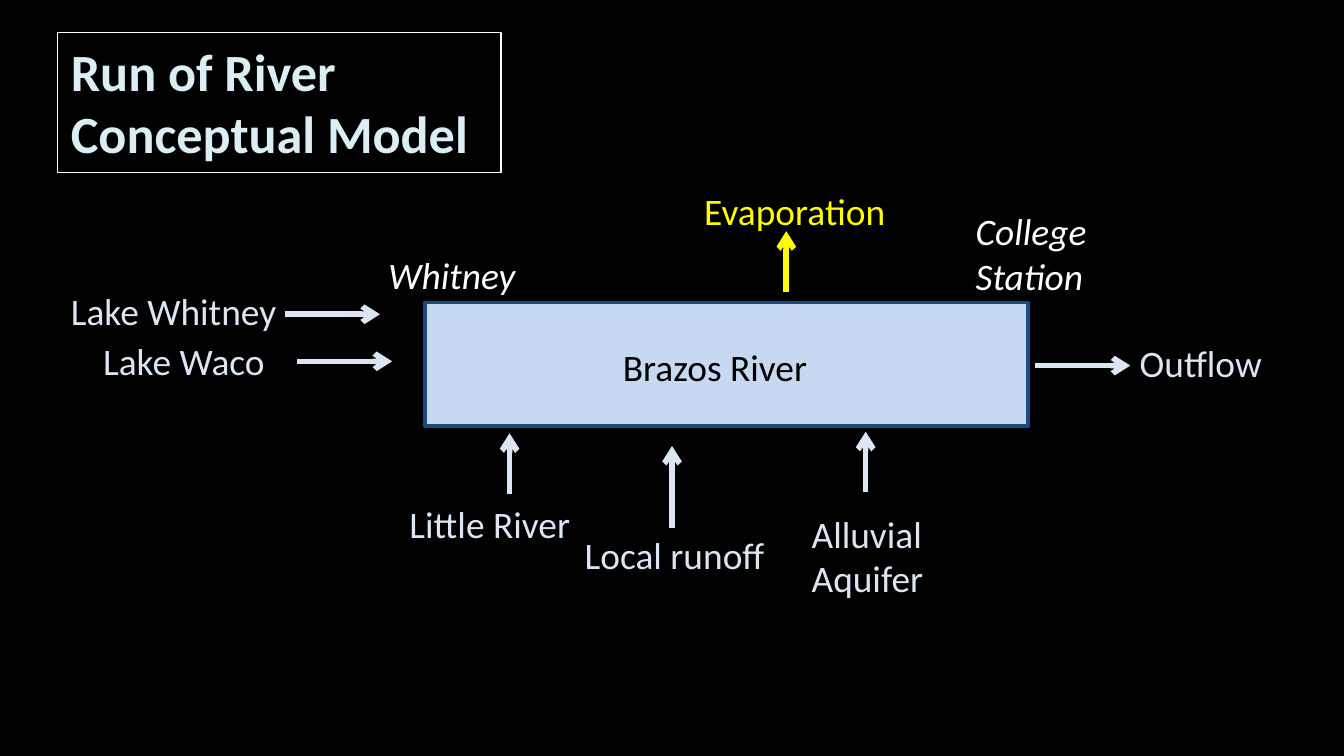
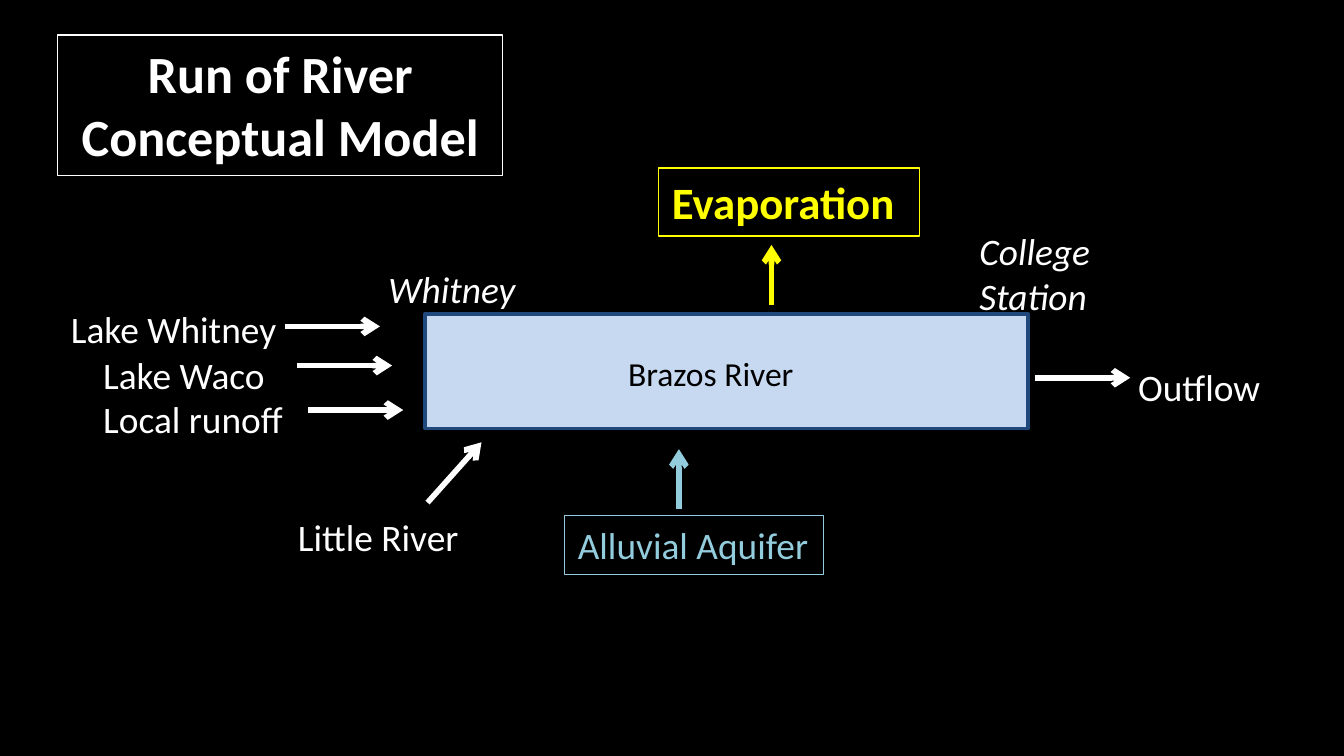
"""Build two slides showing the run-of-river model of the Brazos River."""
from pptx import Presentation
from pptx.dml.color import RGBColor
from pptx.enum.shapes import MSO_CONNECTOR, MSO_SHAPE
from pptx.enum.text import MSO_ANCHOR, PP_ALIGN
from pptx.oxml.ns import qn
from pptx.util import Cm, Pt
from lxml.etree import SubElement

FONT = "Calibri"
BLACK, WHITE, YELLOW = "000000", "FFFFFF", "FFFF00"
PALE, ICE, AQUA = "DCE6F2", "DBEEF4", "93CDDD"
RIVER_FILL, RIVER_LINE = "C6D9F1", "1F497D"
TITLE = "Run of River Conceptual Model"
TITLE_STYLE = dict(size=28, bold=True, lines=2, outline=WHITE)
RIVER_STYLE = dict(color=BLACK, fill=RIVER_FILL, align=PP_ALIGN.CENTER)
PLACE_STYLE = dict(color=WHITE, italic=True)
RIGHT, UP, LONG_UP, SLANTED = (1.8, 0), (0, -1.14), (0, -1.55), (1.02, -1.14)

SLIDES = [
    {
        "color": PALE,
        "river": (8.03, 5.72, 11.4, 2.34),
        "labels": [
            ("Brazos River", 10.85, 6.38, 5.33, RIVER_STYLE),
            ("Outflow", 21.29, 6.3, 3.1, {}),
            ("Evaporation", 13.06, 3.43, 4.93, dict(color=YELLOW)),
            ("Lake Whitney", 1.09, 5.33, 4.52, {}),
            ("Lake Waco", 1.7, 6.27, 4.52, {}),
            ("Whitney", 7.09, 4.65, 3.15, PLACE_STYLE),
            ("College\nStation", 18.19, 3.81, 3.58, dict(PLACE_STYLE, lines=2)),
            ("Alluvial Aquifer", 15.09, 9.53, 3.43, dict(lines=2)),
            ("Local runoff", 10.8, 9.93, 4.52, {}),
            ("Little River", 7.49, 9.35, 4.04, {}),
            (TITLE, 1.09, 0.61, 8.38, dict(TITLE_STYLE, color=ICE)),
        ],
        "arrows": [
            (19.56, 6.91, RIGHT, PALE),
            (5.38, 5.94, RIGHT, PALE),
            (5.61, 6.83, RIGHT, PALE),
            (14.86, 5.51, UP, YELLOW),
            (16.36, 9.3, UP, PALE),
            (9.63, 9.33, UP, PALE),
            (12.7, 9.98, LONG_UP, PALE),
        ],
    },
    {
        "color": WHITE,
        "river": (8.03, 5.94, 11.4, 2.16),
        "labels": [
            ("Brazos River", 11.48, 6.55, 3.91, dict(RIVER_STYLE, size=18)),
            ("Outflow", 21.26, 6.76, 3.1, {}),
            ("Evaporation", 12.45, 3.18, 4.93,
             dict(color=YELLOW, outline=YELLOW, size=24, bold=True)),
            ("Lake Whitney", 1.09, 5.66, 4.52, {}),
            ("Lake Waco", 1.7, 6.53, 4.52, {}),
            ("Local runoff", 1.7, 7.37, 4.52, {}),
            ("Whitney", 7.09, 4.9, 3.33, PLACE_STYLE),
            ("College\nStation", 18.26, 4.19, 3.58, dict(PLACE_STYLE, lines=2)),
            ("Alluvial Aquifer", 10.67, 9.75, 4.9, dict(color=AQUA, outline=AQUA)),
            ("Little River", 5.38, 9.6, 4.04, {}),
            (TITLE, 1.09, 0.66, 8.41, dict(TITLE_STYLE, align=PP_ALIGN.CENTER)),
        ],
        "arrows": [
            (19.56, 7.14, RIGHT, WHITE),
            (5.38, 6.17, RIGHT, WHITE),
            (5.61, 6.91, RIGHT, WHITE),
            (5.82, 7.75, RIGHT, WHITE),
            (14.58, 5.77, UP, YELLOW),
            (12.83, 9.63, UP, AQUA),
            (8.08, 9.5, SLANTED, WHITE),
        ],
    },
]


def rgb(value):
    return RGBColor.from_string(value)


def add_box(slide, left, top, width, height, fill=None, outline=None, weight=0.75):
    shape = slide.shapes.add_shape(
        MSO_SHAPE.RECTANGLE, Cm(left), Cm(top), Cm(width), Cm(height))
    shape.shadow.inherit = False
    if fill:
        shape.fill.solid()
        shape.fill.fore_color.rgb = rgb(fill)
    else:
        shape.fill.background()
    if outline:
        shape.line.color.rgb = rgb(outline)
        shape.line.width = Pt(weight)
    else:
        shape.line.fill.background()
    return shape


def add_label(slide, text, left, top, width, color=WHITE, size=20, bold=False,
              italic=False, lines=1, align=PP_ALIGN.LEFT, fill=None, outline=None):
    height = lines * size * 0.043 + 0.25
    if fill or outline:
        shape = add_box(slide, left, top, width, height, fill, outline)
    else:
        shape = slide.shapes.add_textbox(Cm(left), Cm(top), Cm(width), Cm(height))
    frame = shape.text_frame
    frame.word_wrap = True
    frame.vertical_anchor = MSO_ANCHOR.TOP
    frame.text = text
    for paragraph in frame.paragraphs:
        paragraph.alignment = align
        font = paragraph.runs[0].font
        font.name, font.size = FONT, Pt(size)
        font.bold, font.italic = bold, italic
        font.color.rgb = rgb(color)


def add_arrow(slide, left, top, reach, color):
    across, down = reach
    connector = slide.shapes.add_connector(
        MSO_CONNECTOR.STRAIGHT, Cm(left), Cm(top), Cm(left + across), Cm(top + down))
    connector.line.color.rgb = rgb(color)
    connector.line.width = Pt(3)
    properties = connector._element.spPr
    SubElement(properties.find(qn("a:ln")), qn("a:tailEnd"), type="arrow")
    SubElement(properties, qn("a:effectLst"))


def build_slide(presentation, content):
    slide = presentation.slides.add_slide(presentation.slide_layouts[6])
    slide.background.fill.solid()
    slide.background.fill.fore_color.rgb = rgb(BLACK)
    add_box(slide, *content["river"], fill=RIVER_FILL, outline=RIVER_LINE, weight=2)
    for text, left, top, width, style in content["labels"]:
        add_label(slide, text, left, top, width, **{"color": content["color"], **style})
    for arrow in content["arrows"]:
        add_arrow(slide, *arrow)


def main():
    presentation = Presentation()
    presentation.slide_width, presentation.slide_height = Cm(25.4), Cm(14.29)
    for content in SLIDES:
        build_slide(presentation, content)
    presentation.save("out.pptx")


if __name__ == "__main__":
    main()
